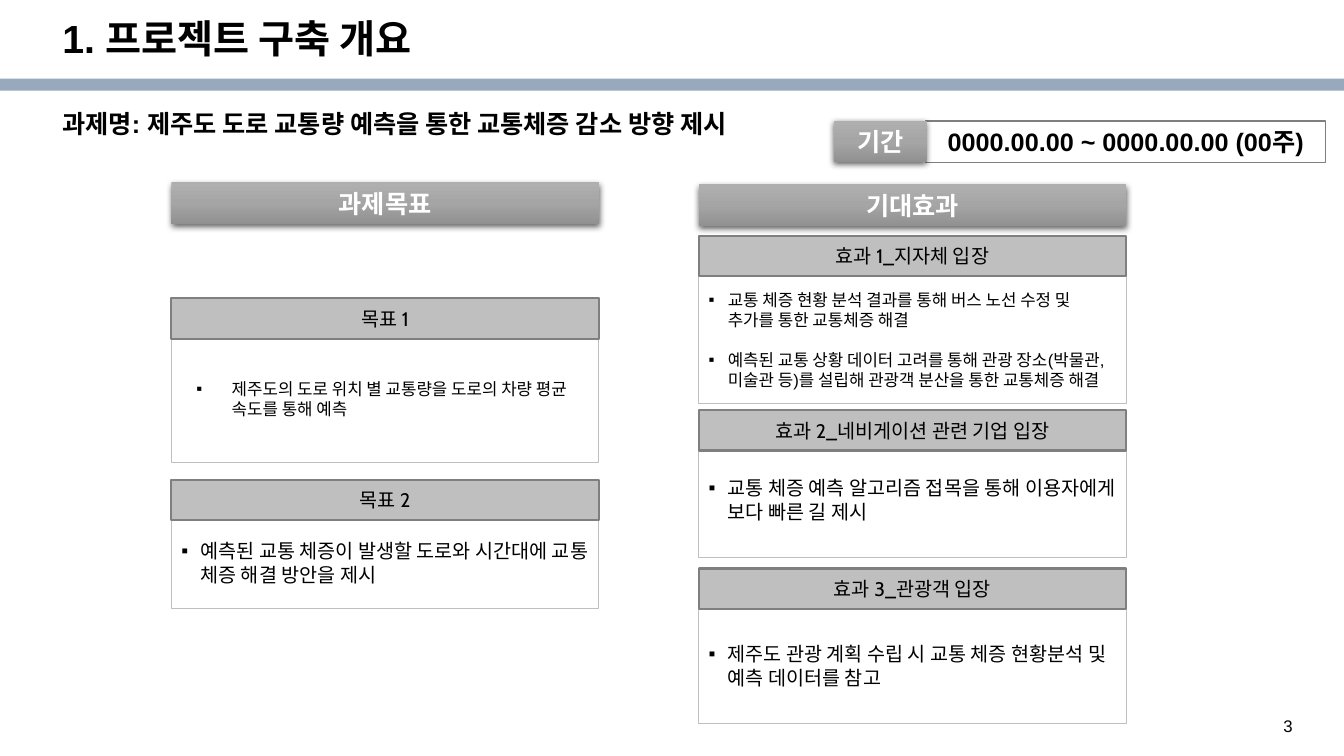
from copy import deepcopy
from dataclasses import dataclass

from lxml import etree
from pptx import Presentation
from pptx.dml.color import RGBColor
from pptx.enum.shapes import MSO_SHAPE
from pptx.enum.text import MSO_ANCHOR, PP_ALIGN
from pptx.oxml.ns import qn
from pptx.util import Inches, Pt

RECT = MSO_SHAPE.RECTANGLE
TOP, MIDDLE = MSO_ANCHOR.TOP, MSO_ANCHOR.MIDDLE
LEFT, CENTER = PP_ALIGN.LEFT, PP_ALIGN.CENTER

TITLE = "1. 프로젝트 구축 개요"
SUBJECT = "과제명: 제주도 도로 교통량 예측을 통한 교통체증 감소 방향 제시"
PERIOD = ("기간", "0000.00.00 ~ 0000.00.00 (00주)")
PAGE_NUMBER = "3"

# Card: heading, bullets, text size, heading top, body top, body height, (margin, hang)
NARROW, WIDE = (0.19, 0.19), (0.5, 0.35)
COLUMNS = [
    ("과제목표", 1.7, 1.81, [
        ("목표 1", ["제주도의 도로 위치 별 교통량을 도로의 차량 평균 속도를 통해 예측"],
         12, 2.96, 3.33, 1.26, WIDE),
        ("목표 2", ["예측된 교통 체증이 발생할 도로와 시간대에 교통 체증 해결 방안을 제시"],
         14, 4.76, 5.12, 0.92, NARROW),
    ]),
    ("기대효과", 6.93, 1.83, [
        ("효과 1_지자체 입장",
         ["교통 체증 현황 분석 결과를 통해 버스 노선 수정 및 추가를 통한 교통체증 해결",
          "예측된 교통 상황 데이터 고려를 통해 관광 장소(박물관, 미술관 등)를 설립해 "
          "관광객 분산을 통한 교통체증 해결"],
         12, 2.34, 2.74, 1.26, NARROW),
        ("효과 2_네비게이션 관련 기업 입장",
         ["교통 체증 예측 알고리즘 접목을 통해 이용자에게 보다 빠른 길 제시"],
         14, 4.07, 4.38, 1.15, NARROW),
        ("효과 3_관광객 입장",
         ["제주도 관광 계획 수립 시 교통 체증 현황분석 및 예측 데이터를 참고"],
         14, 5.64, 6.03, 1.15, NARROW),
    ]),
]


@dataclass(frozen=True)
class Theme:
    font: str = "Arial"
    heading_font: str = "Cabin"
    ink: str = "000000"
    paper: str = "FFFFFF"
    band: str = "98A8BD"
    heading: str = "BFBFBF"
    edge: str = "7F7F7F"
    banner: tuple = ("AFAFAF", "A5A5A5", "919191")
    title_size: int = 28
    label_size: int = 18
    heading_size: int = 14
    number_size: int = 12


THEME = Theme()
COLUMN_WIDTH, BANNER_HEIGHT, HEADING_HEIGHT = 4.24, 0.41, 0.4
BULLET_GAP = 14


def color(code):
    return RGBColor.from_string(code)


def write(box, lines, size, ink=THEME.ink, font=THEME.font, bold=False, align=LEFT,
          anchor=MIDDLE, insets=(0.1, 0.05), indent=None, line_spacing=None):
    frame = box.text_frame
    across, down = (Inches(inset) for inset in insets)
    frame_format = {"word_wrap": True, "vertical_anchor": anchor, "margin_left": across,
                    "margin_right": across, "margin_top": down, "margin_bottom": down}
    for name, value in frame_format.items():
        setattr(frame, name, value)
    for index, line in enumerate(lines):
        para = frame.add_paragraph() if index else frame.paragraphs[0]
        if indent:
            add_bullet(para, *indent)
        para.alignment = align
        if line_spacing:
            para.line_spacing = line_spacing
        if index:
            para.space_before = Pt(BULLET_GAP)
        span = para.add_run()
        span.text = line
        for name, value in {"size": Pt(size), "bold": bold, "name": font}.items():
            setattr(span.font, name, value)
        span.font.color.rgb = color(ink)


def add_bullet(para, margin, hang):
    properties = para._p.get_or_add_pPr()
    properties.set("marL", str(Inches(margin)))
    properties.set("indent", str(-Inches(hang)))
    bullet_color = etree.SubElement(properties, qn("a:buClr"))
    etree.SubElement(bullet_color, qn("a:srgbClr"), val=THEME.ink)
    etree.SubElement(properties, qn("a:buFont"), typeface=THEME.font)
    etree.SubElement(properties, qn("a:buChar"), char="▪")


def add_text(page, area, text, size, **style):
    box = page.shapes.add_textbox(*map(Inches, area))
    write(box, [text], size, anchor=TOP, **style)


def add_block(page, area, fill=None, line=None, line_width=1.0):
    block = page.shapes.add_shape(RECT, *map(Inches, area))
    block.shadow.inherit = False
    if fill:
        block.fill.solid()
        block.fill.fore_color.rgb = color(fill)
    if line:
        block.line.color.rgb = color(line)
        block.line.width = Pt(line_width)
    else:
        block.line.fill.background()
    return block


def add_banner(page, area, text):
    """Draw a shaded label with a soft shadow below it."""
    banner = add_block(page, area)
    banner.fill.gradient()
    banner.fill.gradient_angle = 270
    stops = banner._element.spPr.find(".//" + qn("a:gsLst"))
    stops.append(deepcopy(stops[-1]))
    for index, stop in enumerate(banner.fill.gradient_stops):
        stop.position = index / 2
        stop.color.rgb = color(THEME.banner[index])
    effects = banner._element.spPr.find(qn("a:effectLst"))
    shadow = etree.SubElement(effects, qn("a:outerShdw"), blurRad=str(Pt(4.5)),
                              dist=str(Pt(1.5)), dir="5400000", rotWithShape="0")
    shade = etree.SubElement(shadow, qn("a:srgbClr"), val=THEME.ink)
    etree.SubElement(shade, qn("a:alpha"), val="62000")
    write(banner, [text], THEME.label_size, ink=THEME.paper, bold=True, align=CENTER)


def add_card(page, left, card):
    heading, bullets, size, heading_top, body_top, body_height, indent = card
    body = add_block(page, (left, body_top, COLUMN_WIDTH, body_height),
                     THEME.paper, THEME.heading, 0.75)
    write(body, bullets, size, indent=indent)
    bar = add_block(page, (left, heading_top, COLUMN_WIDTH, HEADING_HEIGHT),
                    THEME.heading, THEME.edge, 1.5)
    write(bar, [heading], THEME.heading_size, font=THEME.heading_font,
          align=CENTER, insets=(0.08, 0.08))


def main():
    deck = Presentation()
    deck.slide_width, deck.slide_height = Inches(13.33), Inches(7.5)
    page = deck.slides.add_slide(deck.slide_layouts[6])

    add_block(page, (0, 0.78, 13.33, 0.12), THEME.band)
    add_text(page, (12.63, 7.05, 0.52, 0.27), PAGE_NUMBER, THEME.number_size)
    add_text(page, (0.52, 0.15, 11.5, 0.53), TITLE, THEME.title_size,
             bold=True, line_spacing=0.9)
    add_text(page, (0.52, 1.06, 12.01, 0.71), SUBJECT, THEME.label_size,
             bold=True, line_spacing=0.9)

    for banner, left, top, cards in COLUMNS:
        add_banner(page, (left, top, COLUMN_WIDTH, BANNER_HEIGHT), banner)
        for card in cards:
            add_card(page, left, card)

    label, dates = PERIOD
    period = add_block(page, (9.18, 1.2, 3.97, BANNER_HEIGHT), THEME.paper, THEME.edge)
    write(period, [dates], THEME.label_size, bold=True, align=CENTER)
    add_banner(page, (8.27, 1.2, 0.92, BANNER_HEIGHT), label)

    deck.save("out.pptx")


if __name__ == "__main__":
    main()
